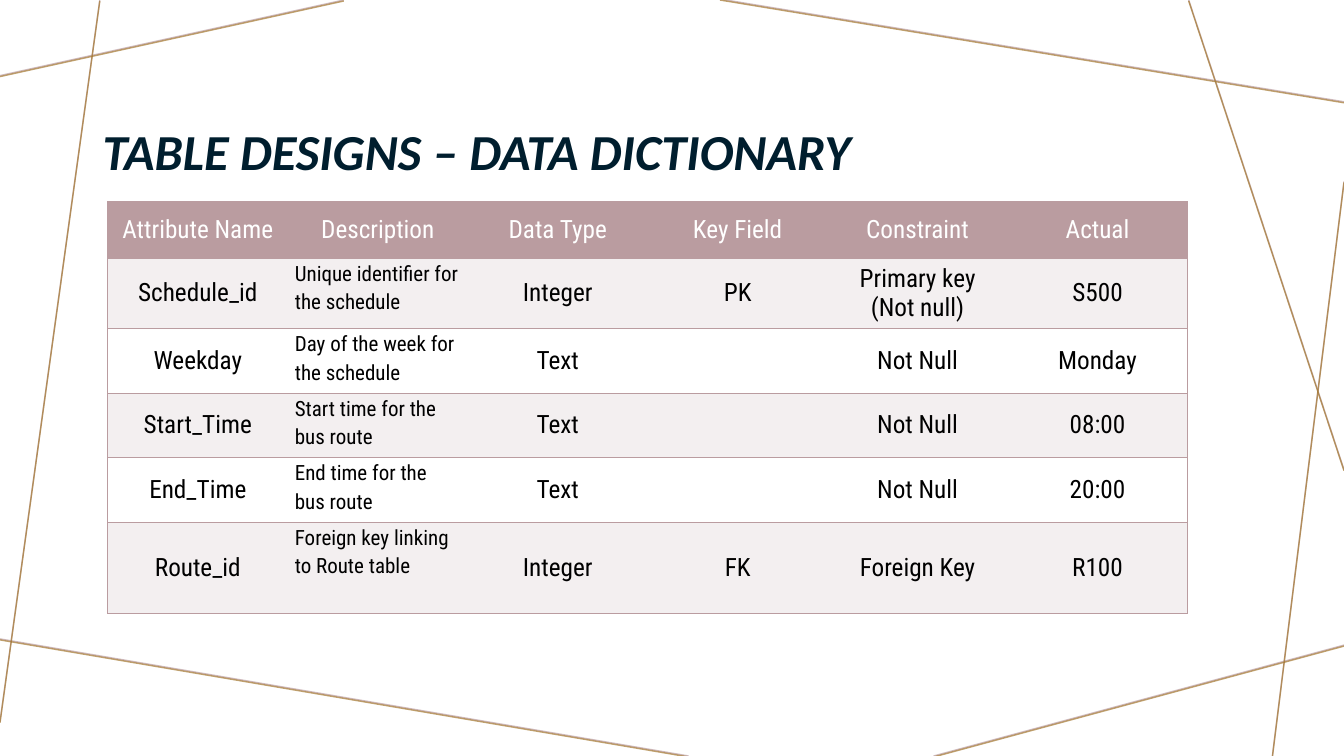
from lxml.etree import SubElement
from pptx import Presentation
from pptx.dml.color import RGBColor
from pptx.enum.shapes import MSO_CONNECTOR
from pptx.enum.text import MSO_ANCHOR, PP_ALIGN
from pptx.oxml.ns import qn
from pptx.util import Inches, Pt

# Content
TITLE = "TABLE DESIGNS – DATA DICTIONARY"
ATTRIBUTES = [
    ("Attribute Name", "Description", "Data Type", "Key Field", "Constraint", "Actual"),
    ("Schedule_id", "Unique identifier for the schedule", "Integer", "PK",
     "Primary key (Not null)", "S500"),
    ("Weekday", "Day of the week for the schedule", "Text", "", "Not Null", "Monday"),
    ("Start_Time", "Start time for the bus route", "Text", "", "Not Null", "08:00"),
    ("End_Time", "End time for the bus route", "Text", "", "Not Null", "20:00"),
    ("Route_id", "Foreign key linking to Route table", "Integer", "FK", "Foreign Key", "R100"),
]
ROW_HEIGHTS = [0.56, 0.64, 0.64, 0.64, 0.64, 0.91]
TABLE_LEFT, TABLE_TOP, TABLE_WIDTH = 1.07, 2, 10.71
DESCRIPTION = 1

# Decorative rays: x1, y1, x2, y2
RAYS = [
    (3.41, 0, 0, 0.75),
    (0.99, 0, 0, 7.16),
    (6.83, 7.5, -0.05, 6.33),
    (13.33, 6.4, 9.26, 7.5),
    (13.33, 1.8, 12.62, 7.5),
    (13.33, 4.66, 11.79, 0),
    (13.33, 1.01, 7.14, -0.01),
]

ROSE = RGBColor(0xBA, 0x9C, 0xA0)
PALE_ROSE = RGBColor(0xF3, 0xEF, 0xF0)
GOLD = RGBColor(0xA5, 0x79, 0x31)
NAVY = RGBColor(0x00, 0x1E, 0x2E)
WHITE = RGBColor(0xFF, 0xFF, 0xFF)
BLACK = RGBColor(0x00, 0x00, 0x00)


def write(frame, text, *, size, color, font="Roboto Condensed", bold=False,
          italic=False, align=PP_ALIGN.LEFT, spacing=1.0):
    frame.word_wrap = True
    paragraph = frame.paragraphs[0]
    paragraph.alignment = align
    paragraph.line_spacing = spacing
    paragraph.font.size = Pt(size)
    if text:
        run = paragraph.add_run()
        run.text = text
        run.font.name = font
        run.font.size = Pt(size)
        run.font.bold = bold
        run.font.italic = italic
        run.font.color.rgb = color


def draw_ray(slide, ray, color, drop):
    x1, y1, x2, y2 = ray
    line = slide.shapes.add_connector(
        MSO_CONNECTOR.STRAIGHT, Inches(x1), Inches(y1 + drop), Inches(x2), Inches(y2 + drop))
    line.line.width = Pt(1)
    line.line.color.rgb = color
    properties = line._element.spPr
    tint = properties.find(".//" + qn("a:srgbClr"))
    SubElement(tint, qn("a:alpha"), val="70000")
    SubElement(properties, qn("a:effectLst"))


def set_borders(cell, visible):
    properties = cell._tc.get_or_add_tcPr()
    for side in "LRTB":
        border = SubElement(properties, qn(f"a:ln{side}"), w=str(Pt(1)))
        if side in visible:
            fill = SubElement(border, qn("a:solidFill"))
            SubElement(fill, qn("a:srgbClr"), val=str(ROSE))
        else:
            SubElement(border, qn("a:noFill"))


def add_dictionary(slide):
    columns = len(ATTRIBUTES[0])
    table = slide.shapes.add_table(
        len(ATTRIBUTES), columns, Inches(TABLE_LEFT), Inches(TABLE_TOP),
        Inches(TABLE_WIDTH), Inches(sum(ROW_HEIGHTS))).table
    for column in table.columns:
        column.width = Inches(TABLE_WIDTH / columns)
    for r, (attribute, height) in enumerate(zip(ATTRIBUTES, ROW_HEIGHTS)):
        table.rows[r].height = Inches(height)
        row_fill = ROSE if r == 0 else PALE_ROSE if r % 2 else WHITE
        for c, text in enumerate(attribute):
            cell = table.cell(r, c)
            outer = {0: "L", columns - 1: "R"}.get(c, "")
            set_borders(cell, "TB" + outer)
            cell.fill.solid()
            cell.fill.fore_color.rgb = row_fill
            if r and c == DESCRIPTION:
                cell.margin_left = cell.margin_right = Inches(0.07)
                cell.margin_top = cell.margin_bottom = 0
                cell.vertical_anchor = MSO_ANCHOR.TOP
                write(cell.text_frame, text, size=15, color=BLACK, spacing=1.15)
            else:
                cell.vertical_anchor = MSO_ANCHOR.MIDDLE
                write(cell.text_frame, text, size=18, color=BLACK if r else WHITE,
                      align=PP_ALIGN.CENTER)


def main():
    deck = Presentation()
    deck.slide_width, deck.slide_height = Inches(13.33), Inches(7.5)
    slide = deck.slides.add_slide(deck.slide_layouts[6])

    # Background rays, rose under gold
    for color, drop in ((ROSE, 0), (GOLD, 0.01)):
        for ray in RAYS:
            draw_ray(slide, ray, color, drop)

    # Title
    title = slide.shapes.add_textbox(Inches(0.92), Inches(0.4), Inches(11.3), Inches(1.45))
    title.text_frame.vertical_anchor = MSO_ANCHOR.BOTTOM
    write(title.text_frame, TITLE, size=36, color=NAVY, font="Calibri",
          bold=True, italic=True, spacing=0.9)

    # Data dictionary
    add_dictionary(slide)
    deck.save("out.pptx")


if __name__ == "__main__":
    main()
